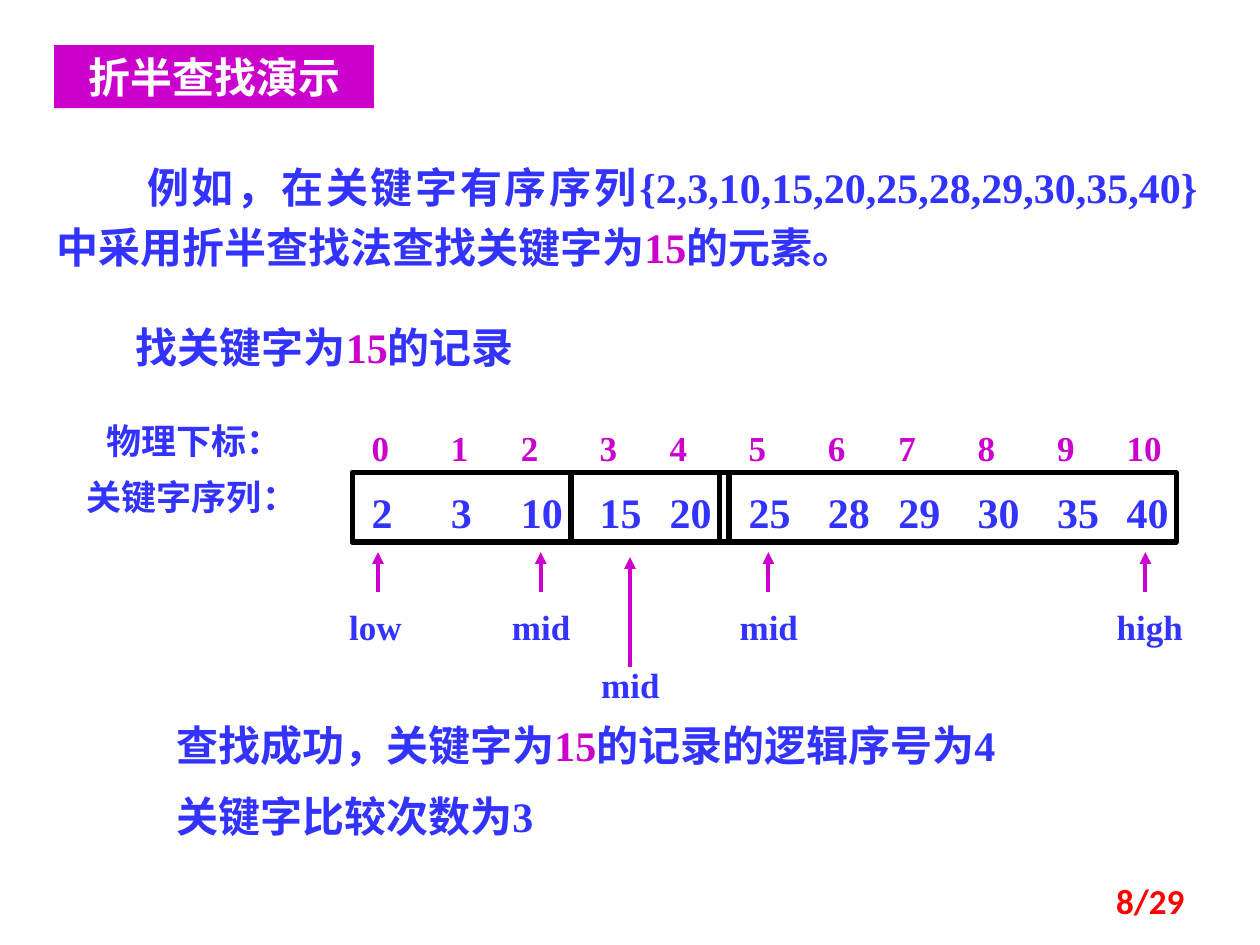
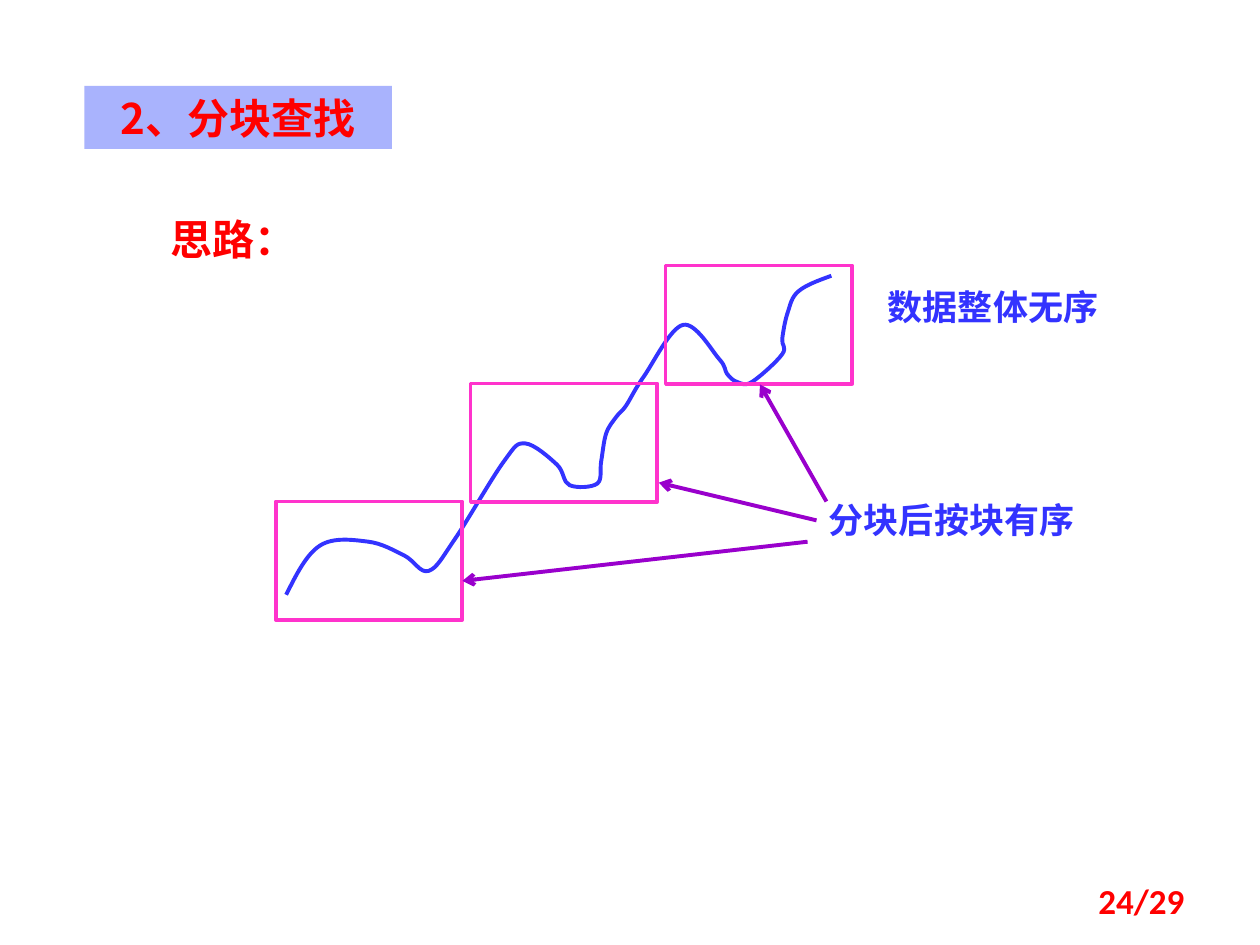
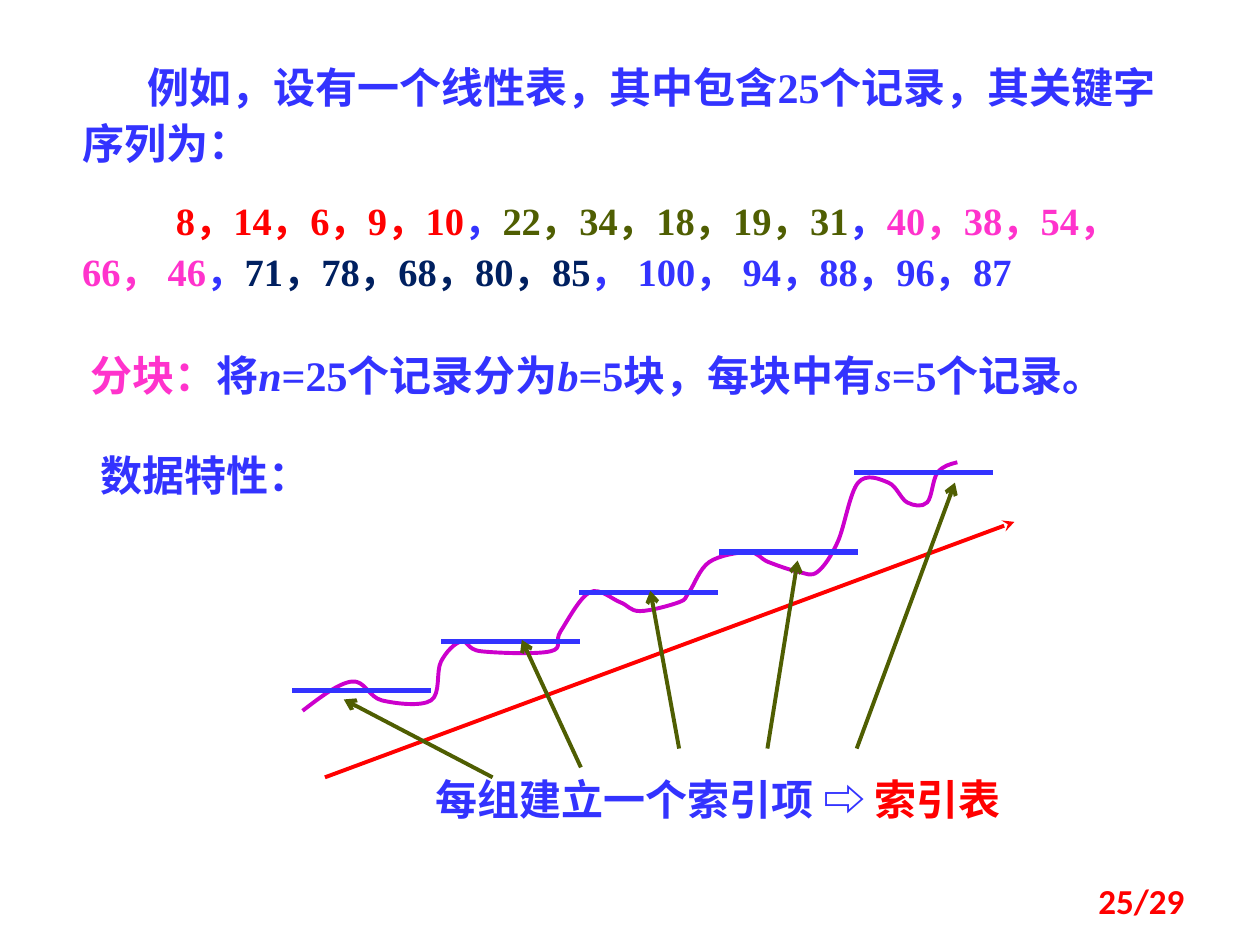
from dataclasses import dataclass

from pptx import Presentation
from pptx.dml.color import RGBColor
from pptx.enum.shapes import MSO_CONNECTOR as Connector
from pptx.enum.shapes import MSO_SHAPE as Preset
from pptx.enum.text import MSO_ANCHOR as Anchor
from pptx.enum.text import MSO_AUTO_SIZE as AutoSize
from pptx.enum.text import PP_ALIGN as Align
from pptx.oxml.ns import qn
from pptx.oxml.xmlchemy import OxmlElement as new_element
from pptx.util import Cm, Pt


@dataclass(frozen=True)
class Theme:
    """Colours, fonts and type sizes shared by the slides."""
    blue: str = "3333FF"
    magenta: str = "CC00CC"
    pink: str = "FF33CC"
    red: str = "FF0000"
    olive: str = "4F5E02"
    navy: str = "002060"
    violet: str = "9900CC"
    lavender: str = "A9B3FD"
    white: str = "FFFFFF"
    black: str = "000000"
    serif: str = "Times New Roman"
    cjk: str = "Noto Sans CJK SC"
    sans: str = "Calibri"
    large: int = 24
    medium: int = 22
    small: int = 20
    thick: float = 3
    medium_line: float = 2.25
    thin: float = 2


THEME = Theme()
TOTAL_PAGES = 29
LINE_HEIGHT = 1.27

KEYS = [2, 3, 10, 15, 20, 25, 28, 29, 30, 35, 40]
CELL_LEFTS = [7.49, 9.09, 10.5, 12.09, 13.5, 15.09, 16.69, 18.11, 19.71, 21.31, 22.71]
RANGES = [(7.11, 16.61), (7.11, 7.59), (11.51, 3)]
POINTERS = [
    ("low", 7.62, 11.94, 11.13, 12.2),
    ("mid", 10.9, 11.94, 11.13, 12.2),
    ("mid", 12.7, 13.44, 11.23, 13.37),
    ("mid", 15.49, 11.94, 11.13, 12.2),
    ("high", 23.09, 11.94, 11.13, 12.2),
]

BLOCK_CURVE = [
    (5.77, 11.99), (6.45, 11), (7.42, 10.92), (8.15, 11.2), (8.64, 11.51),
    (9.17, 10.87), (10.16, 9.3), (10.59, 8.94), (11.23, 9.37), (11.48, 9.78),
    (12.04, 9.75), (12.12, 9.3), (12.22, 8.74), (12.42, 8.41), (12.62, 8.18),
    (12.98, 7.59), (13.77, 6.55), (14.5, 7.24), (14.66, 7.54), (14.86, 7.7),
    (15.16, 7.7), (15.77, 7.14), (15.77, 6.83), (15.88, 6.3), (16.1, 5.87),
    (16.76, 5.56),
]
BLOCK_ARROWS = [
    ((16.28, 10.92), (9.32, 11.71)),
    ((16.46, 10.49), (13.28, 9.73)),
    ((16.66, 10.11), (15.32, 7.75)),
]

RECORD_CURVE = [
    (6.1, 14.33), (7.09, 13.74), (7.7, 14.12), (8.69, 14.12), (8.89, 13.34),
    (9.3, 12.93), (9.7, 13.13), (11.1, 13.13), (11.3, 12.73), (11.89, 11.94),
    (12.5, 12.14), (12.9, 12.32), (13.69, 12.14), (13.89, 11.94), (14.3, 11.33),
    (15.09, 11.13), (15.49, 11.33), (16.1, 11.53), (16.48, 11.53), (16.89, 10.92),
    (17.3, 9.73), (17.91, 9.73), (18.29, 10.13), (18.69, 10.13), (18.9, 9.53),
    (19.3, 9.32),
]
BLOCK_MAXIMA = [(5.89, 13.92), (8.89, 12.93), (11.68, 11.94), (14.5, 11.13), (17.22, 9.53)]
MAXIMUM_LENGTH = 2.8
INDEX_ARROWS = [
    ((9.93, 15.67), (6.93, 14.1)),
    ((11.71, 15.47), (10.52, 12.9)),
    ((13.69, 15.09), (13.11, 11.91)),
    ((15.47, 15.09), (16.08, 11.3)),
    ((17.27, 15.09), (19.25, 9.73)),
]


@dataclass(frozen=True)
class Span:
    """A stretch of text in one colour."""
    text: str
    colour: str = THEME.blue
    italic: bool = False


def rgb(colour):
    """Return the colour object for a hex string."""
    return RGBColor.from_string(colour)


def place(shape, left, top, width, height):
    """Move and size a shape, in centimetres."""
    shape.left, shape.top = Cm(left), Cm(top)
    shape.width, shape.height = Cm(width), Cm(height)


def write(paragraph, spans, size=THEME.large, font=THEME.serif, align=Align.LEFT,
          indent=0, before=0, spacing=1.0):
    """Fill a paragraph with bold spans and no bullet."""
    properties = paragraph._p.get_or_add_pPr()
    properties.set("marL", "0")
    properties.set("indent", str(Cm(indent)))
    properties.append(new_element("a:buNone"))
    paragraph.alignment = align
    paragraph.space_before = Pt(before)
    paragraph.line_spacing = spacing
    for span in spans:
        run = paragraph.add_run()
        run.text = span.text
        run.font.size = Pt(size)
        run.font.bold = True
        run.font.italic = span.italic
        run.font.color.rgb = rgb(span.colour)
        run.font.name = font
        east_asian = new_element("a:ea")
        east_asian.set("typeface", THEME.cjk)
        run.font._element.append(east_asian)


def prepare_frame(shape, anchor=Anchor.TOP):
    """Give a shape's text frame wrapping and a fixed size."""
    frame = shape.text_frame
    frame.word_wrap = True
    frame.auto_size = AutoSize.NONE
    frame.vertical_anchor = anchor
    return frame


def add_text(slide, box, spans, anchor=Anchor.TOP, inset=True, **style):
    """Add a text box holding one paragraph."""
    frame = prepare_frame(slide.shapes.add_textbox(*map(Cm, box)), anchor)
    if not inset:
        frame.margin_left = frame.margin_right = frame.margin_top = frame.margin_bottom = 0
    write(frame.paragraphs[0], spans, **style)


def set_title(slide, text, box, fill, colour):
    """Turn the title placeholder into a coloured band."""
    title = slide.shapes.title
    place(title, *box)
    title.fill.solid()
    title.fill.fore_color.rgb = rgb(fill)
    frame = prepare_frame(title, Anchor.MIDDLE)
    write(frame.paragraphs[0], [Span(text, colour)], font=THEME.cjk, align=Align.CENTER)


def open_body(slide, box):
    """Place the body placeholder and return its text frame."""
    body = slide.placeholders[1]
    place(body, *box)
    return prepare_frame(body)


def add_page_number(slide, number):
    """Add the page count at the lower right."""
    add_text(slide, (18.21, 17.65, 5.92, 1.02), [Span(f"{number}/{TOTAL_PAGES}", THEME.red)],
             anchor=Anchor.MIDDLE, size=THEME.small, font=THEME.sans, align=Align.RIGHT)


def style_line(shape, colour, width):
    """Set the colour and width of an outline."""
    shape.line.color.rgb = rgb(colour)
    shape.line.width = Pt(width)


def add_frame(slide, box, colour, width):
    """Add an unfilled rectangle."""
    shape = slide.shapes.add_shape(Preset.RECTANGLE, *map(Cm, box))
    shape.shadow.inherit = False
    shape.fill.background()
    style_line(shape, colour, width)


def add_line(slide, start, end, colour, width=THEME.medium_line, head=None):
    """Add a straight line with an optional arrowhead at its end."""
    line = slide.shapes.add_connector(Connector.STRAIGHT, *map(Cm, (*start, *end)))
    style_line(line, colour, width)
    if head:
        arrowhead = new_element("a:tailEnd")
        arrowhead.set("type", head)
        line.element.find(".//" + qn("a:ln")).append(arrowhead)
    line.element.spPr.append(new_element("a:effectLst"))


def control_points(points, index):
    """Return the two Bezier controls of the segment ending at index."""
    start, end = points[index - 1], points[index]
    first = second = None
    if index > 1:
        first = [a + (c - b) / 6 for a, b, c in zip(start, points[index - 2], end)]
    if index < len(points) - 1:
        second = [a - (c - b) / 6 for a, b, c in zip(end, start, points[index + 1])]
    first = first or [(a + b) / 2 for a, b in zip(start, second)]
    second = second or [(a + b) / 2 for a, b in zip(end, first)]
    return first, second


def add_curve(slide, points, colour):
    """Add a smooth open curve through the points."""
    emu_points = [(Cm(x), Cm(y)) for x, y in points]
    builder = slide.shapes.build_freeform(*emu_points[0], scale=1.0)
    builder.add_line_segments(emu_points[1:], close=False)
    curve = builder.convert_to_shape()
    curve.shadow.inherit = False
    curve.fill.background()
    style_line(curve, colour, THEME.medium_line)
    outline = curve.element.find(".//" + qn("a:path"))
    anchors = [(int(p.get("x")), int(p.get("y"))) for p in outline.iter(qn("a:pt"))]
    for index, segment in enumerate(outline.findall(qn("a:lnTo")), start=1):
        bezier = new_element("a:cubicBezTo")
        for x, y in (*control_points(anchors, index), anchors[index]):
            point = new_element("a:pt")
            point.set("x", str(round(x)))
            point.set("y", str(round(y)))
            bezier.append(point)
        outline.replace(segment, bezier)


def add_key_array(slide):
    """Draw the indexed keys, the search ranges and the pointers."""
    for index, (key, left) in enumerate(zip(KEYS, CELL_LEFTS)):
        add_text(slide, (left, 8.6, 0.81, 0.84), [Span(str(index), THEME.magenta)],
                 inset=False, size=THEME.small)
        add_text(slide, (left, 9.8, 0.99, 1.02), [Span(str(key))], inset=False)
    for left, width in RANGES:
        add_frame(slide, (left, 9.53, width, 1.4), THEME.black, THEME.thick)
    for label, x, bottom, tip, label_top in POINTERS:
        add_line(slide, (x, bottom), (x, tip), THEME.magenta, head="triangle")
        add_text(slide, (x - 0.58, label_top, 1.4, 0.84), [Span(label)],
                 inset=False, size=THEME.small)


def build_binary_search(presentation):
    """Build the binary search demonstration."""
    slide = presentation.slides.add_slide(presentation.slide_layouts[1])
    target = Span("15", THEME.magenta)
    set_title(slide, "折半查找演示", (1.09, 0.91, 6.45, LINE_HEIGHT), THEME.magenta, THEME.white)
    add_text(slide, (0.89, 2.92, 23.5, 3.07),
             [Span("例如，在关键字有序序列{2,3,10,15,20,25,28,29,30,35,40}中采用折半查找法查找关键字为"),
              target, Span("的元素。")],
             align=Align.JUSTIFY, indent=1.83, spacing=1.2)
    add_text(slide, (2.49, 6.35, 8.41, LINE_HEIGHT),
             [Span("找关键字为"), target, Span("的记录")])
    add_text(slide, (1.9, 8.33, 4.39, 1.12), [Span("物理下标：")], size=THEME.small)
    add_text(slide, (1.5, 9.47, 5.59, 1.12), [Span("关键字序列：")], size=THEME.small)
    add_key_array(slide)
    results = open_body(slide, (3.3, 14.37, 17.81, 2.82))
    write(results.paragraphs[0], [Span("查找成功，关键字为"), target, Span("的记录的逻辑序号为4")])
    write(results.add_paragraph(), [Span("关键字比较次数为3")], before=12)
    add_page_number(slide, 8)


def build_block_search(presentation):
    """Build the idea of block search."""
    slide = presentation.slides.add_slide(presentation.slide_layouts[5])
    set_title(slide, "2、分块查找", (1.7, 1.73, 6.2, LINE_HEIGHT), THEME.lavender, THEME.red)
    add_text(slide, (3.18, 4.17, 3.86, LINE_HEIGHT), [Span("思路：", THEME.red)], font=THEME.cjk)
    add_curve(slide, BLOCK_CURVE, THEME.blue)
    for block in range(3):
        add_frame(slide, (5.56 + 3.93 * block, 10.11 - 2.38 * block, 3.76, 2.39),
                  THEME.pink, THEME.thin)
    add_text(slide, (17.65, 5.64, 5.36, 1.12), [Span("数据整体无序")],
             size=THEME.small, font=THEME.cjk)
    add_text(slide, (16.46, 9.93, 6.55, 1.12), [Span("分块后按块有序")],
             size=THEME.small, font=THEME.cjk)
    for start, end in BLOCK_ARROWS:
        add_line(slide, start, end, THEME.violet, head="arrow")
    add_page_number(slide, 24)


def build_index_example(presentation):
    """Build the example of blocks and their index."""
    slide = presentation.slides.add_slide(presentation.slide_layouts[1])
    title = slide.shapes.title.element
    title.getparent().remove(title)
    example = open_body(slide, (1.4, 1.02, 22.81, 5.28))
    write(example.paragraphs[0],
          [Span("例如，设有一个线性表，其中包含25个记录，其关键字序列为：")],
          indent=1.32, spacing=1.1)
    comma = Span("，")
    write(example.add_paragraph(),
          [Span("8，14，6，9，10", THEME.red), comma,
           Span("22，34，18，19，31", THEME.olive), comma,
           Span("40，38，54，66， 46", THEME.pink), comma,
           Span("71，78，68，80，85", THEME.navy),
           Span("， 100， 94，88，96，87")],
          size=THEME.medium, indent=1.89, before=14, spacing=1.1)
    add_text(slide, (1.57, 6.93, 22.63, LINE_HEIGHT),
             [Span("分块：", THEME.pink), Span("将"),
              Span("n", italic=True), Span("=25个记录分为"),
              Span("b", italic=True), Span("=5块，每块中有"),
              Span("s", italic=True), Span("=5个记录。")])
    add_text(slide, (1.78, 8.94, 5.36, LINE_HEIGHT), [Span("数据特性：")], font=THEME.cjk)
    add_curve(slide, RECORD_CURVE, THEME.magenta)
    for left, level in BLOCK_MAXIMA:
        add_line(slide, (left, level), (left + MAXIMUM_LENGTH, level), THEME.blue, THEME.thick)
    add_line(slide, (6.55, 15.67), (20.45, 10.52), THEME.red, head="stealth")
    add_text(slide, (8.53, 15.47, 12.7, LINE_HEIGHT),
             [Span("每组建立一个索引项 ⇨ "), Span("索引表", THEME.red)])
    for start, end in INDEX_ARROWS:
        add_line(slide, start, end, THEME.olive, head="arrow")
    add_page_number(slide, 25)


def main():
    """Build and save the presentation."""
    presentation = Presentation()
    presentation.slide_width, presentation.slide_height = Cm(25.4), Cm(19.05)
    build_binary_search(presentation)
    build_block_search(presentation)
    build_index_example(presentation)
    presentation.save("out.pptx")


if __name__ == "__main__":
    main()
